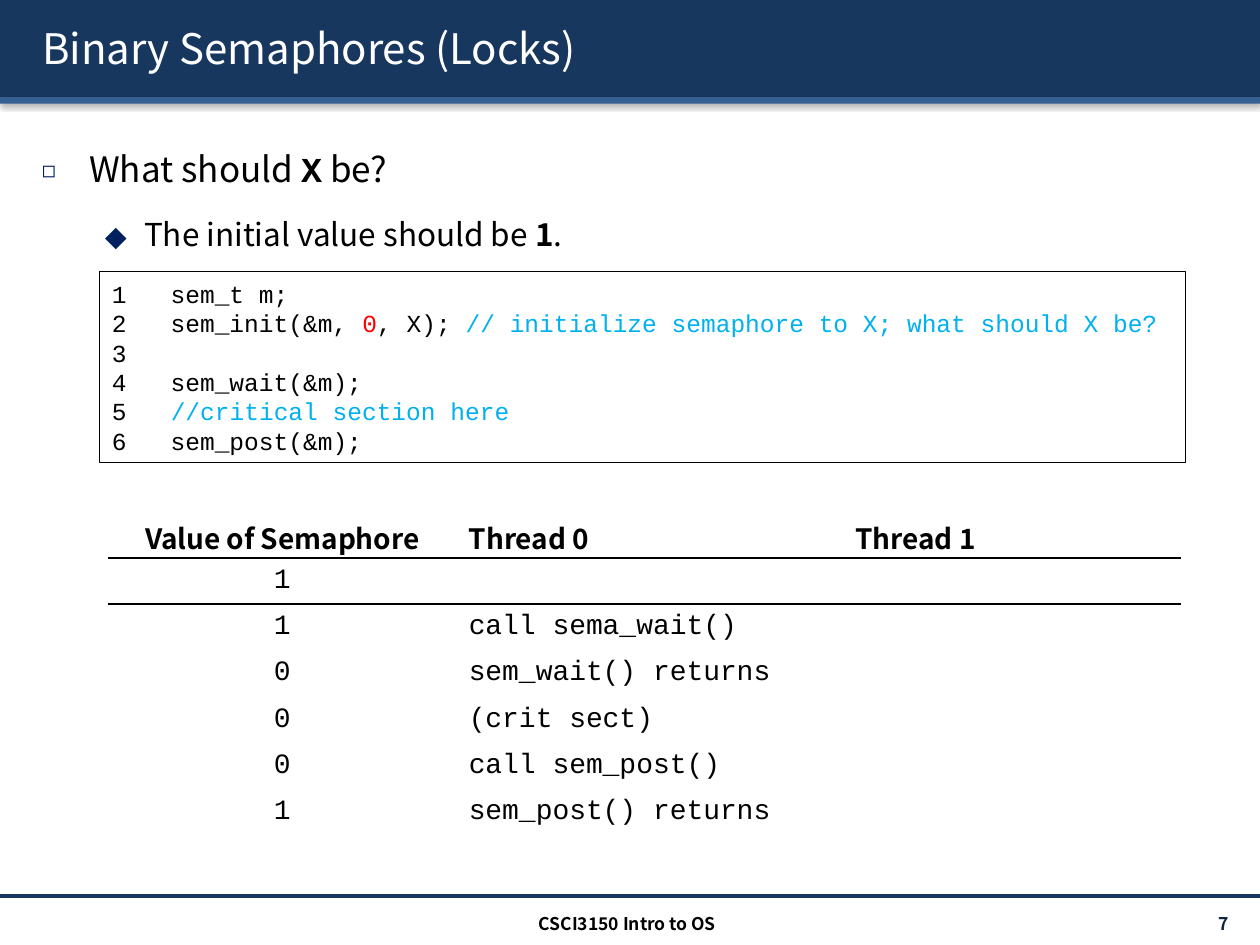
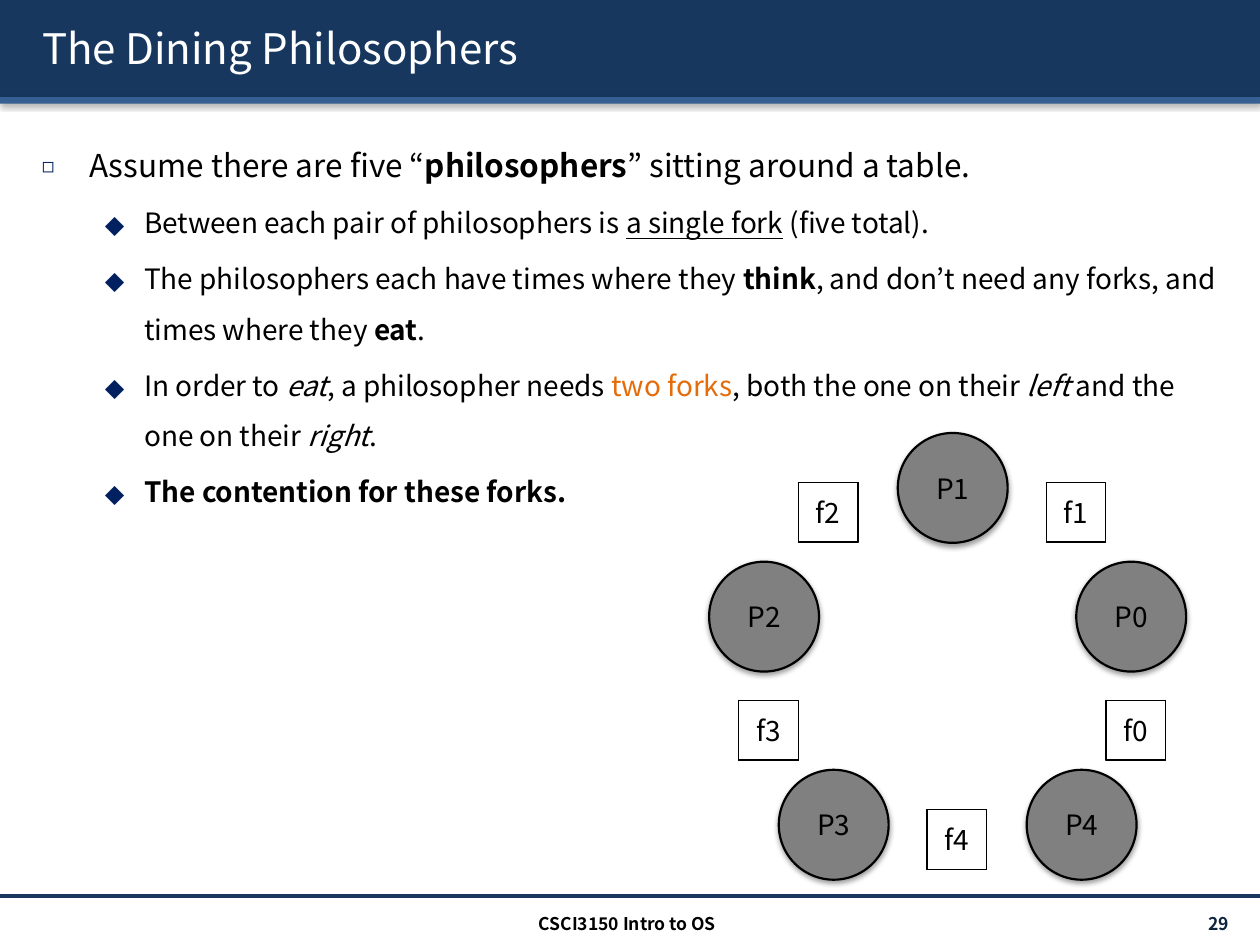
from lxml import etree
from pptx import Presentation
from pptx import util as u
from pptx.dml import color
from pptx.enum import shapes, text
from pptx.oxml import ns

Pt = u.Pt
SANS, MONO = "Noto Sans CJK KR", "Courier New"
NAVY, BLUE, BULLET = "17375E", "376092", "002060"
BLACK, WHITE, GREY = "000000", "FFFFFF", "808080"
COMMENT, RED, ORANGE = "00B0F0", "FF0000", "E46C0A"
LEFT, CENTER, RIGHT = text.PP_ALIGN.LEFT, text.PP_ALIGN.CENTER, text.PP_ALIGN.RIGHT
MIDDLE = text.MSO_ANCHOR.MIDDLE
WIDTH, HEIGHT = 720, 540
BOLD, ITALIC = {"bold": True}, {"italic": True}


def rgb(value):
    return color.RGBColor.from_string(value)


def add_xml(parent, tag, **attributes):
    child = etree.SubElement(parent, ns.qn(tag))
    for name, value in attributes.items():
        child.set(name, str(value))
    return child


def add_glow(parent, strength=38, blur=3.1, distance=1.6):
    effects = add_xml(parent, "a:effectLst")
    shadow = add_xml(effects, "a:outerShdw", blurRad=Pt(blur), dist=Pt(distance), dir=5400000, rotWithShape=0)
    tint = add_xml(shadow, "a:srgbClr", val=BLACK)
    add_xml(tint, "a:alpha", val=strength * 1000)


def add_spans(para, spans, **base):
    for words, changes in spans:
        span = para.add_run()
        span.text = words
        look = {"name": SANS, "color": BLACK, **base, **changes}
        span.font.color.rgb = rgb(look.pop("color"))
        look["size"] = Pt(look["size"])
        for name, value in look.items():
            setattr(span.font, name, value)


def set_frame(frame, anchor=text.MSO_ANCHOR.TOP, insets=(7.2, 3.6)):
    across, down = map(Pt, insets)
    settings = {"word_wrap": True, "vertical_anchor": anchor, "margin_left": across,
                "margin_right": across, "margin_top": down, "margin_bottom": down}
    for name, value in settings.items():
        setattr(frame, name, value)


def add_label(page, box, words, align, **look):
    frame = page.shapes.add_textbox(*map(Pt, box)).text_frame
    set_frame(frame, MIDDLE)
    para = frame.paragraphs[0]
    para.alignment = align
    add_spans(para, [(words, {})], **look)


def add_block(page, kind, box, fill=None, line=None, weight=0.75):
    block = page.shapes.add_shape(kind, *map(Pt, box))
    block.shadow.inherit = False
    if fill:
        block.fill.solid()
        block.fill.fore_color.rgb = rgb(fill)
    else:
        block.fill.background()
    if line:
        block.line.color.rgb = rgb(line)
        block.line.width = Pt(weight)
    else:
        block.line.fill.background()
    return block


def shade(block, **strength):
    properties = block._element.spPr
    properties.remove(properties.find(ns.qn("a:effectLst")))
    add_glow(properties, **strength)


def add_page(deck, title, number):
    page = deck.slides.add_slide(deck.slide_layouts[5])
    for box, fill in (((0, 0, WIDTH, 55.5), NAVY), ((0, 55.5, WIDTH, 3.7), BLUE)):
        shade(add_block(page, shapes.MSO_SHAPE.RECTANGLE, box, fill))
    rule = page.shapes.add_connector(shapes.MSO_CONNECTOR.STRAIGHT, 0, Pt(512), Pt(WIDTH), Pt(512))
    rule.line.color.rgb = rgb(NAVY)
    rule.line.width = Pt(2)
    add_xml(rule._element.spPr, "a:effectLst")

    heading = page.shapes.title
    heading.left, heading.top, heading.width, heading.height = map(Pt, (16.8, 4.4, 692, 46))
    page.shapes._spTree.append(heading._element)
    set_frame(heading.text_frame, MIDDLE)
    para = heading.text_frame.paragraphs[0]
    para.alignment = LEFT
    add_spans(para, [(title, {})], size=24, color=WHITE)
    for span in para.runs:
        add_glow_after_fill(span)

    add_label(page, (627, 519, 84.5, 17.5), f"{number} ", RIGHT, size=10, bold=True, color="0F243E")
    add_label(page, (239, 518.7, 239, 17.5), "CSCI3150 Intro to OS", CENTER, size=10, bold=True)
    return page


def add_glow_after_fill(span):
    properties = span._r.get_or_add_rPr()
    add_glow(properties, 100, 0.5, 1.5)
    shadow = properties.find(ns.qn("a:effectLst"))
    shadow[0].set("dir", "2700000")
    properties.find(ns.qn("a:solidFill")).addnext(shadow)


def add_bullets(page, box, items, sizes):
    frame = page.shapes.add_textbox(*map(Pt, box)).text_frame
    set_frame(frame)
    levels = [("◻", 27, -27, 65), ("⬥", 58.5, -22.5, 100)]
    for index, (level, spans) in enumerate(items):
        para = frame.paragraphs[0] if index == 0 else frame.add_paragraph()
        mark, margin, indent, percent = levels[level]
        para.level = level
        para.line_spacing = 1.5
        if index:
            para.space_before = Pt(0.2 * sizes[level])
        properties = para._p.get_or_add_pPr()
        properties.set("marL", str(Pt(margin)))
        properties.set("indent", str(Pt(indent)))
        tint = add_xml(properties, "a:buClr")
        add_xml(tint, "a:srgbClr", val=BULLET)
        add_xml(properties, "a:buSzPct", val=percent * 1000)
        add_xml(properties, "a:buFont", typeface=SANS)
        add_xml(properties, "a:buChar", char=mark)
        add_spans(para, spans, size=sizes[level])


def add_code(page, box, lines):
    panel = add_block(page, shapes.MSO_SHAPE.RECTANGLE, box, line=BLACK)
    set_frame(panel.text_frame, MIDDLE)
    for index, spans in enumerate(lines):
        para = panel.text_frame.paragraphs[0] if index == 0 else panel.text_frame.add_paragraph()
        para.alignment = LEFT
        para.line_spacing = Pt(16.8)
        add_spans(para, spans, size=14, name=MONO)


def add_border(cell, side, tint, weight):
    properties = cell._tc.get_or_add_tcPr()
    edge = add_xml(properties, f"a:ln{side}", w=Pt(weight))
    add_xml(add_xml(edge, "a:solidFill"), "a:srgbClr", val=tint)


def add_trace(page, box, widths, rows):
    table = page.shapes.add_table(len(rows), len(widths), *map(Pt, box)).table
    for column, width in zip(table.columns, widths):
        column.width = Pt(width)
    ruled = (1, 2)
    for index, values in enumerate(rows):
        table.rows[index].height = Pt(box[3] / len(rows))
        look = {"name": MONO, "size": 16} if index else {"size": 16, "bold": True}
        for place, value in enumerate(values):
            cell = table.cell(index, place)
            cell.margin_top = cell.margin_bottom = 0
            cell.vertical_anchor = MIDDLE if index else text.MSO_ANCHOR.BOTTOM
            for side, edge in (("L", None), ("R", None), ("T", index), ("B", index + 1)):
                add_border(cell, side, *((BLACK, 1.5) if edge in ruled else (WHITE, 1)))
            cell.fill.solid()
            cell.fill.fore_color.rgb = rgb(WHITE)
            if value:
                para = cell.text_frame.paragraphs[0]
                para.alignment = LEFT if place else CENTER
                add_spans(para, [(value, {})], **look)


def add_seat(page, kind, box, name, fill, weight, glow):
    seat = add_block(page, kind, box, fill, BLACK, weight)
    shade(seat, **glow)
    set_frame(seat.text_frame, MIDDLE, (2.9, 3.6))
    para = seat.text_frame.paragraphs[0]
    para.alignment = CENTER
    add_spans(para, [(name, {})], size=16)


def add_dining_table(page, left, top):
    groups = [
        (shapes.MSO_SHAPE.OVAL, 62.8, GREY, 1.25, {}, "P",
         [(209.8, 73.6), (107.8, 0), (0, 73.6), (39.8, 192.5), (181.5, 192.5)]),
        (shapes.MSO_SHAPE.RECTANGLE, 34, WHITE, 0.75, {"strength": 100, "blur": 0, "distance": 0}, "f",
         [(226.8, 153), (192.7, 28.4), (51.1, 28.4), (17, 153), (124.6, 215.3)]),
    ]
    for kind, size, fill, weight, glow, letter, places in groups:
        for index, (across, down) in enumerate(places):
            box = (left + across, top + down, size, size)
            add_seat(page, kind, box, f"{letter}{index}", fill, weight, glow)


def build_semaphores(deck, body):
    page = add_page(deck, "Binary Semaphores (Locks)", 7)
    add_bullets(page, body, [
        (0, [("What should ", {}), ("X", {"name": MONO, **BOLD}), (" be?", {})]),
        (1, [("The initial value should be ", {}), ("1", BOLD), (".", {})]),
    ], (20, 18))
    note = {"color": COMMENT}
    add_code(page, (56.8, 155.2, 620.6, 109), [
        [("1   sem_t m;", {})],
        [("2   sem_init(&m, ", {}), ("0", {"color": RED}), (", X); ", {}),
         ("// initialize semaphore to X; what should X be?", note)],
        [("3", {})],
        [("4   sem_wait(&m);", {})],
        [("5   ", {}), ("//critical section here", note)],
        [("6   sem_post(&m);", {})],
    ])
    add_trace(page, (62, 292.3, 612.7, 185), (198.7, 221, 193), [
        ("Value of Semaphore", "Thread 0", "Thread 1"),
        ("1", "", ""),
        ("1", "call sema_wait()", ""),
        ("0", "sem_wait() returns", ""),
        ("0", "(crit sect)", ""),
        ("0", "call sem_post()", ""),
        ("1", "sem_post() returns", ""),
    ])


def build_philosophers(deck, body):
    page = add_page(deck, "The Dining Philosophers", 29)
    add_bullets(page, body, [
        (0, [("Assume there are five “", {}), ("philosophers", BOLD), ("” sitting around a table.", {})]),
        (1, [("Between each pair of philosophers is ", {}), ("a single fork", {"underline": True}),
             (" (five total).", {})]),
        (1, [("The philosophers each have times where they ", {}), ("think", BOLD),
             (", and don’t need any forks, and times where they ", {}), ("eat", BOLD), (".", {})]),
        (1, [("In order to ", {}), ("eat", ITALIC), (", a philosopher needs ", {}),
             ("two forks", {"color": ORANGE}), (", both the one on their ", {}), ("left", ITALIC),
             (" and the one on their ", {}), ("right", ITALIC), (".", {})]),
        (1, [("The contention for these forks.", BOLD)]),
    ], (18, 16))
    add_dining_table(page, 405.2, 247.4)


def main():
    deck = Presentation()
    deck.slide_width, deck.slide_height = Pt(WIDTH), Pt(HEIGHT)
    body = (16.8, 69, 692, 433.5)
    build_semaphores(deck, body)
    build_philosophers(deck, body)
    deck.save("out.pptx")


if __name__ == "__main__":
    main()
